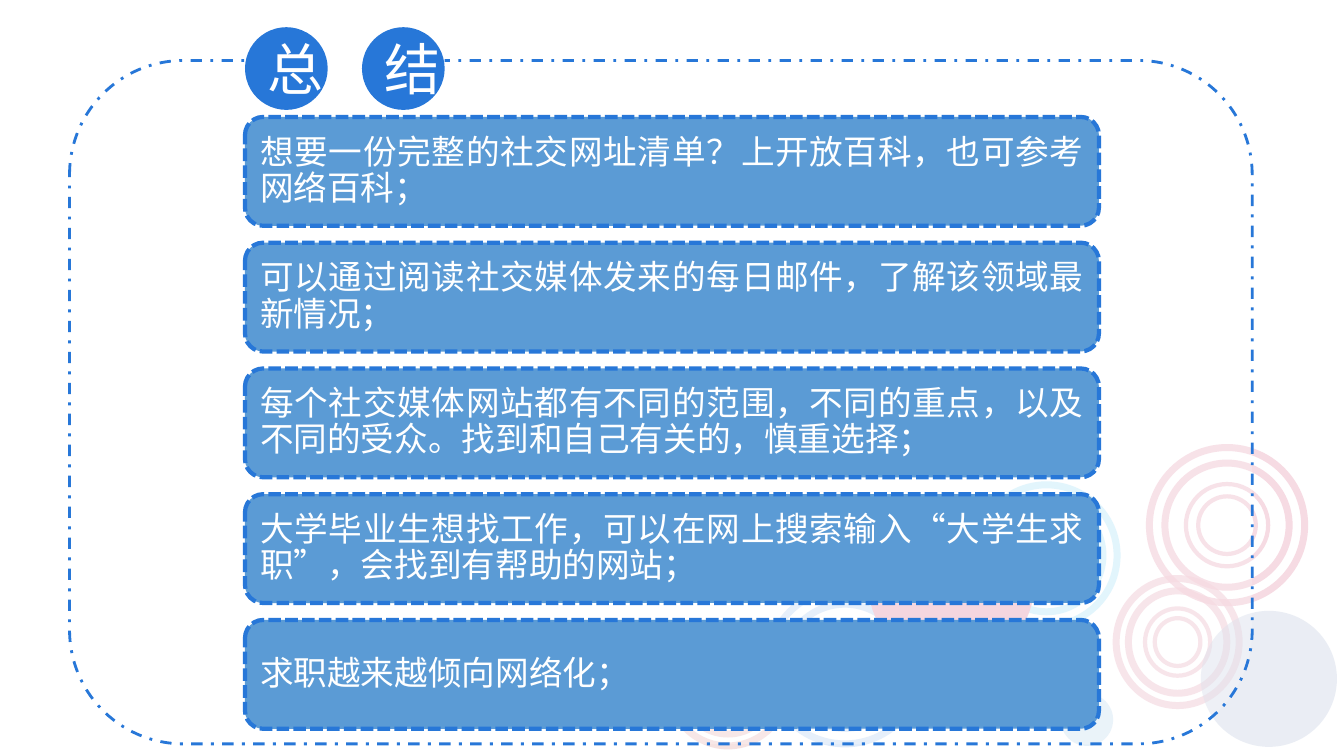
"""Build the summary slide: five rounded cards over a pale field of rings."""
from lxml.etree import SubElement
from pptx import Presentation
from pptx.dml.color import RGBColor
from pptx.enum.dml import MSO_LINE
from pptx.enum.shapes import MSO_SHAPE
from pptx.enum.text import MSO_ANCHOR, PP_ALIGN
from pptx.oxml.ns import qn
from pptx.util import Inches, Pt

HEADING = ["总", "结"]
CARDS = [
    "想要一份完整的社交网址清单？上开放百科，也可参考网络百科；",
    "可以通过阅读社交媒体发来的每日邮件，了解该领域最新情况；",
    "每个社交媒体网站都有不同的范围，不同的重点，以及不同的受众。找到和自己有关的，慎重选择；",
    "大学毕业生想找工作，可以在网上搜索输入“大学生求职”，会找到有帮助的网站；",
    "求职越来越倾向网络化；",
]
OUTER, INNER = (1, 0.1, 5), (0.53, 0.15, 3)
RINGS = [
    (12.17, 5.21, 1.54, 1.54, "C60139", 70, [INNER, OUTER]),
    (11.68, 6.37, 1.22, 1.26, "C51C49", 70, [INNER, OUTER]),
    (8.38, 6.61, 1.54, 1.54, "2777D8", 70, [OUTER]),
    (7.22, 6.81, 1.18, 1.18, "D16E6B", 100, [OUTER]),
    (10.38, 5.51, 1.4, 1.4, "00B0F0", 70, [OUTER]),
]
DISCS = [
    (8.61, 4.96, 1.65, "C60139", 100),
    (11.91, 6.06, 1.35, "2F5597", 50),
    (10.52, 6.88, 0.52, "0070C0", 50),
]
FONT = "Noto Sans CJK SC"
BLUE, CARD_BLUE, WHITE = "2777D8", "5B9BD5", "FFFFFF"
WIDTH, HEIGHT = 13.33, 7.5
VEIL = (5.1, 2.61, 8.22, 4.88)
FRAME = (0.69, 0.6, 11.73, 6.78)
CARD_LEFT, CARD_WIDTH, CARD_HEIGHT = 2.43, 8.47, 1.08
FIRST_CARD_TOP, LAST_CARD_TOP = 1.16, 6.15
CARD_PITCH = (LAST_CARD_TOP - FIRST_CARD_TOP) / (len(CARDS) - 1)
BADGE_TOP, BADGE_SIZE, BADGE_PITCH = 0.27, 0.82, 1.16


def paint(fill, color, opacity):
    """Set a solid colour on a fill, with its opacity in percent."""
    fill.solid()
    fill.fore_color.rgb = RGBColor.from_string(color)
    if opacity < 100:
        node = fill._xPr.find(qn("a:solidFill")).find(qn("a:srgbClr"))
        SubElement(node, qn("a:alpha"), val=str(opacity * 1000))


def add_figure(slide, kind, box, fill=None, opacity=100, line=None):
    """Add a preset shape; line is (colour, points, dash, opacity)."""
    shape = slide.shapes.add_shape(kind, *(Inches(length) for length in box))
    shape.shadow.inherit = False
    if fill:
        paint(shape.fill, fill, opacity)
    else:
        shape.fill.background()
    if line:
        color, points, dash, line_opacity = line
        shape.line.width = Pt(points)
        paint(shape.line.fill, color, line_opacity)
        if dash:
            shape.line.dash_style = dash
    else:
        shape.line.fill.background()
    return shape


def write(shape, text, size, alignment):
    """Put one white run in the middle of a shape."""
    frame = shape.text_frame
    frame.word_wrap = True
    frame.vertical_anchor = MSO_ANCHOR.MIDDLE
    paragraph = frame.paragraphs[0]
    paragraph.alignment = alignment
    run = paragraph.add_run()
    run.text = text
    run.font.size = Pt(size)
    run.font.name = FONT
    run.font.color.rgb = RGBColor.from_string(WHITE)
    SubElement(run.font._element, qn("a:ea"), typeface=FONT)
    return paragraph


def add_rings(slide):
    """Add the outlined rings around each centre."""
    for x, y, width, height, color, opacity, bands in RINGS:
        for scale, band, points in bands:
            w, h = width * scale, height * scale
            box = (x - w / 2, y - h / 2, w, h)
            outline = (color, points, None, opacity)
            ring = add_figure(slide, MSO_SHAPE.DONUT, box, line=outline)
            ring.adjustments[0] = band


def add_discs(slide):
    """Add plain filled circles."""
    for left, top, size, color, opacity in DISCS:
        add_figure(slide, MSO_SHAPE.OVAL, (left, top, size, size), color, opacity)


def add_heading(slide):
    """Add the heading, one character to a badge, over the frame line."""
    strip_width = BADGE_PITCH * (len(HEADING) - 1) + BADGE_SIZE
    strip = (CARD_LEFT, BADGE_TOP, strip_width, BADGE_SIZE)
    add_figure(slide, MSO_SHAPE.RECTANGLE, strip, WHITE)
    for index, character in enumerate(HEADING):
        box = (CARD_LEFT + index * BADGE_PITCH, BADGE_TOP, BADGE_SIZE, BADGE_SIZE)
        badge = add_figure(slide, MSO_SHAPE.OVAL, box, BLUE)
        write(badge, character, 40, PP_ALIGN.CENTER)


def add_cards(slide):
    """Stack the text cards at an equal pitch."""
    outline = (BLUE, 3, MSO_LINE.SQUARE_DOT, 100)
    for index, text in enumerate(CARDS):
        top = FIRST_CARD_TOP + index * CARD_PITCH
        box = (CARD_LEFT, top, CARD_WIDTH, CARD_HEIGHT)
        card = add_figure(slide, MSO_SHAPE.ROUNDED_RECTANGLE, box, CARD_BLUE, line=outline)
        paragraph = write(card, text, 24, PP_ALIGN.JUSTIFY)
        paragraph.line_spacing = 0.9


def main():
    """Draw the slide from back to front and save it."""
    presentation = Presentation()
    presentation.slide_width, presentation.slide_height = Inches(WIDTH), Inches(HEIGHT)
    slide = presentation.slides.add_slide(presentation.slide_layouts[6])
    add_rings(slide)
    add_discs(slide)
    add_figure(slide, MSO_SHAPE.RECTANGLE, VEIL, WHITE, 80)
    outline = (BLUE, 2, MSO_LINE.DASH_DOT, 100)
    add_figure(slide, MSO_SHAPE.ROUNDED_RECTANGLE, FRAME, WHITE, 20, outline)
    add_heading(slide)
    add_cards(slide)
    presentation.save("out.pptx")


if __name__ == "__main__":
    main()
